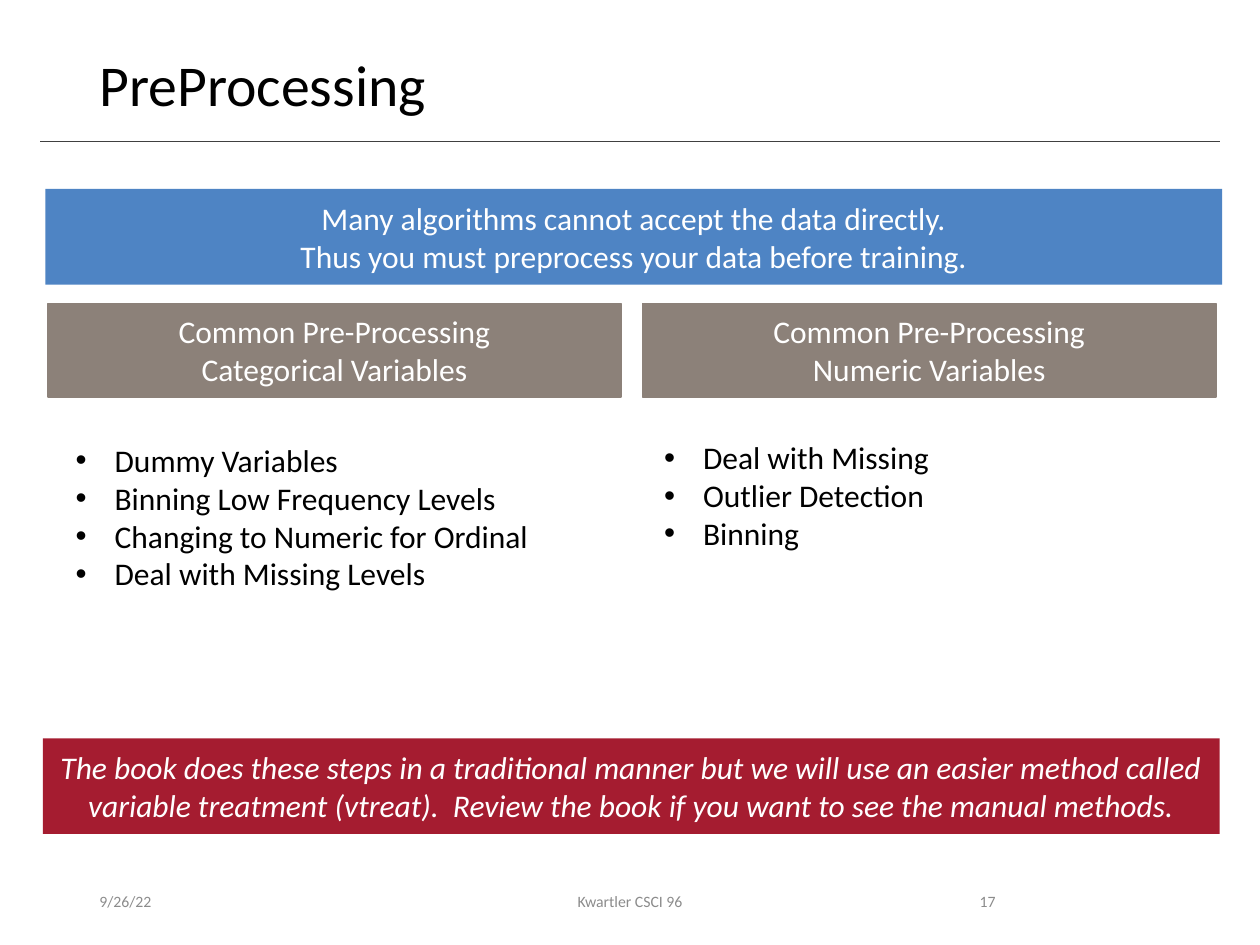
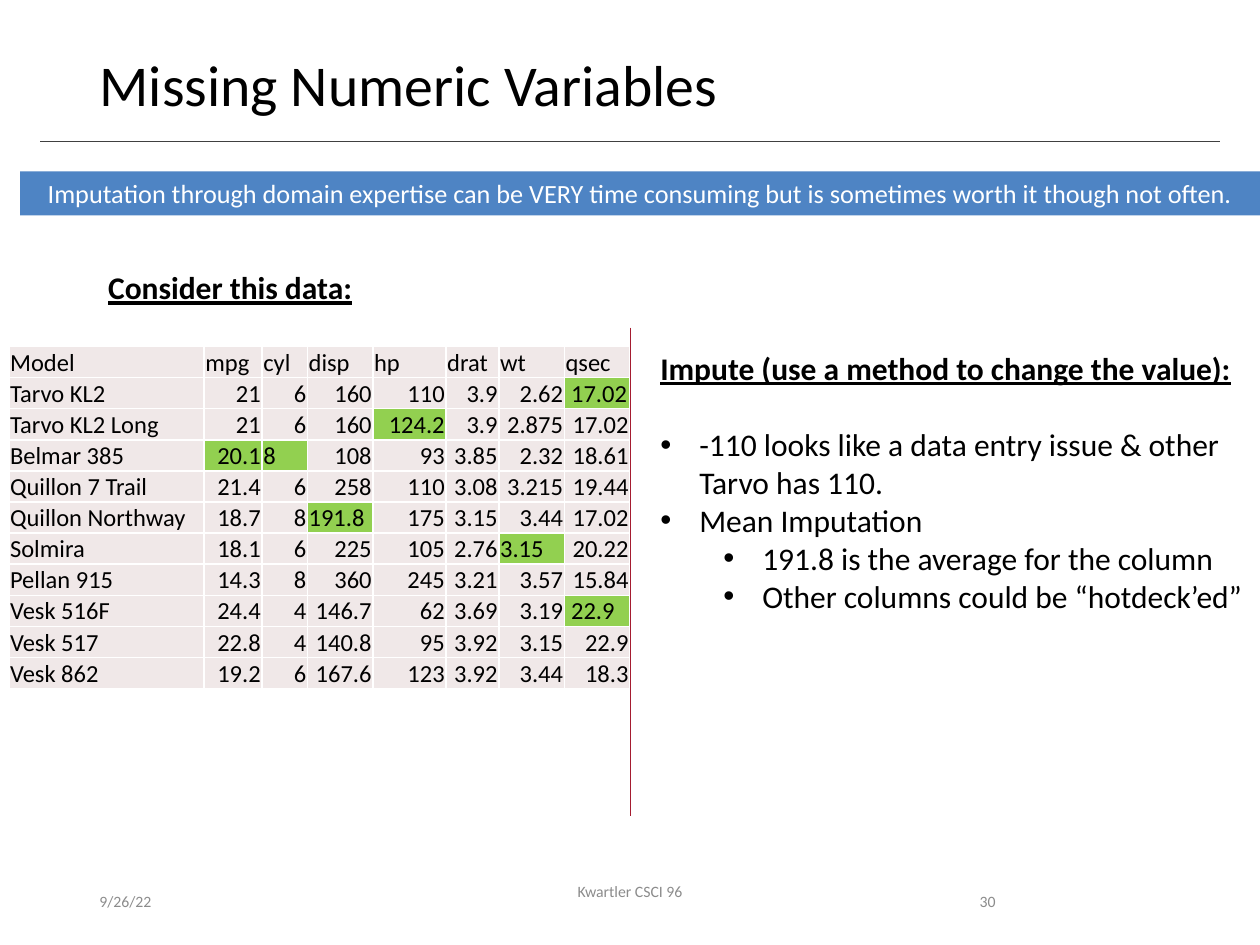
from typing import NamedTuple

from lxml import etree
from pptx import Presentation
from pptx.dml.color import RGBColor
from pptx.enum.shapes import MSO_CONNECTOR, MSO_SHAPE
from pptx.enum.text import MSO_ANCHOR, MSO_AUTO_SIZE, PP_ALIGN
from pptx.oxml.ns import qn
from pptx.util import Inches, Pt

LEFT, MID, RIGHT = PP_ALIGN.LEFT, PP_ALIGN.CENTER, PP_ALIGN.RIGHT
TOP, CENTER, BASE = MSO_ANCHOR.TOP, MSO_ANCHOR.MIDDLE, MSO_ANCHOR.BOTTOM
RECT, LINE = MSO_SHAPE.RECTANGLE, MSO_CONNECTOR.STRAIGHT
FIXED = MSO_AUTO_SIZE.NONE

BLACK = RGBColor(0x00, 0x00, 0x00)
WHITE = RGBColor(0xFF, 0xFF, 0xFF)
RULE = RGBColor(0x40, 0x40, 0x40)
GREY = RGBColor(0x8C, 0x8C, 0x8C)
TAUPE = RGBColor(0x8C, 0x81, 0x79)
BLUE = RGBColor(0x4E, 0x84, 0xC4)
RED = RGBColor(0xA5, 0x1C, 0x30)
GREEN = RGBColor(0x92, 0xD0, 0x50)
PINK = RGBColor(0xF0, 0xE8, 0xE8)

FONT = "Calibri"
WIDE, TALL = Inches(10), Inches(7.5)
COL, ROW = WIDE // 100, TALL // 75  # grid of 100 columns by 75 rows
HANG = Inches(0.31)


class Box(NamedTuple):
    """A place on the grid: left, top, width, height."""
    x: float
    y: float
    w: float
    h: float

    def emu(self) -> tuple[int, ...]:
        units = (COL, ROW, COL, ROW)
        return tuple(round(n * unit) for n, unit in zip(self, units))


class Style(NamedTuple):
    size: float = 18
    color: RGBColor = BLACK
    align: PP_ALIGN = LEFT
    bold: bool = False
    slant: bool = False
    under: bool = False


class Band(NamedTuple):
    box: Box
    text: str
    fill: RGBColor
    size: float = 18
    slant: bool = False
    edge: bool = False


class Foot(NamedTuple):
    box: Box
    text: str
    align: PP_ALIGN
    anchor: MSO_ANCHOR = CENTER


class Item(NamedTuple):
    text: str
    level: int = 0


HEAD = Style(bold=True, under=True)
TITLE = Box(6.9, 4, 86.2, 6.5)

# Slide 1: bands and lists
HALF, GAP = 45.5, 1.7
SIDES = [3.8 + n * (HALF + GAP) for n in range(2)]
KINDS = ["Categorical", "Numeric"]
STEPS = [
    Band(Box(3.6, 15, 93.4, 7.6),
         "Many algorithms cannot accept the data directly.\n"
         "Thus you must preprocess your data before training.", BLUE),
    *(Band(Box(x, 24.1, HALF, 7.4),
           f"Common Pre-Processing\n{kind} Variables", TAUPE, edge=True)
      for x, kind in zip(SIDES, KINDS)),
    Band(Box(3.4, 58.6, 93.4, 7.6),
         "The book does these steps in a traditional manner but we will use "
         "an easier method called variable treatment (vtreat).  Review the "
         "book if you want to see the manual methods.", RED, slant=True),
]
LISTS = [
    (Box(5, 34.5, 38.4, 13.1),
     [Item("Dummy Variables"), Item("Binning Low Frequency Levels"),
      Item("Changing to Numeric for Ordinal"),
      Item("Deal with Missing Levels")]),
    (Box(51.7, 34.3, 38.4, 10.1),
     [Item("Deal with Missing"), Item("Outlier Detection"), Item("Binning")]),
]

# Slide 2: band, table and notes
ADVICE = Band(Box(1.6, 13.6, 98.4, 3.5),
              "Imputation through domain expertise can be VERY time consuming "
              "but is sometimes worth it though not often.", BLUE, 15)
CARS = [row.split(",") for row in (
    "Model,mpg,cyl,disp,hp,drat,wt,qsec",
    "Tarvo KL2,21,6,160,110,3.9,2.62, 17.02",
    "Tarvo KL2 Long,21,6,160,124.2,3.9,2.875,17.02",
    "Belmar 385,20.1,8,108,93,3.85,2.32,18.61",
    "Quillon 7 Trail,21.4,6,258,110,3.08,3.215,19.44",
    "Quillon Northway,18.7,8,191.8,175,3.15,3.44,17.02",
    "Solmira,18.1,6,225,105,2.76,3.15,20.22",
    "Pellan 915,14.3,8,360,245,3.21,3.57,15.84",
    "Vesk 516F,24.4,4,146.7,62,3.69,3.19, 22.9",
    "Vesk 517,22.8,4,140.8,95,3.92,3.15,22.9",
    "Vesk 862,19.2,6,167.6,123,3.92,3.44,18.3",
)]
SPANS = [15.5, 4.6, 3.6, 5.2, 5.8, 4.2, 5.2, 5.2]
FIXES = {(1, 7): LEFT, (2, 4): RIGHT, (3, 1): RIGHT, (3, 2): LEFT,
         (5, 3): LEFT, (6, 6): LEFT, (8, 7): LEFT}
NOTES = [
    Item("-110 looks like a data entry issue & other Tarvo has 110."),
    Item("Mean Imputation"),
    Item("191.8 is the average for the column", 1),
    Item("Other columns could be “hotdeck’ed”", 1),
]


def format_par(par, style: Style) -> None:
    par.alignment = style.align
    font = par.font
    font.name, font.size = FONT, Pt(style.size)
    font.color.rgb = style.color
    font.bold, font.italic = style.bold, style.slant
    font.underline = style.under


def write(frame, text: str, style: Style, anchor=TOP, wrap=True) -> None:
    frame.text = text
    frame.word_wrap, frame.auto_size = wrap, FIXED
    frame.vertical_anchor = anchor
    for par in frame.paragraphs:
        format_par(par, style)


def place(shape, box: Box) -> None:
    shape.left, shape.top, shape.width, shape.height = box.emu()


def add_text(slide, box: Box, text: str, style: Style,
             anchor=TOP, wrap=True) -> None:
    shape = slide.shapes.add_textbox(*box.emu())
    write(shape.text_frame, text, style, anchor, wrap)


def add_rule(slide, box: Box, color: RGBColor) -> None:
    x, y, w, h = box.emu()
    rule = slide.shapes.add_connector(LINE, x, y, x + w, y + h)
    rule.line.color.rgb, rule.line.width = color, Pt(0.5)
    etree.SubElement(rule._element.spPr, qn("a:effectLst"))


def add_band(slide, band: Band) -> None:
    shape = slide.shapes.add_shape(RECT, *band.box.emu())
    shape.shadow.inherit = False
    shape.fill.solid()
    shape.fill.fore_color.rgb = band.fill
    if band.edge:
        shape.line.color.rgb, shape.line.width = band.fill, Pt(1)
    else:
        shape.line.fill.background()
    style = Style(band.size, WHITE, MID, slant=band.slant)
    write(shape.text_frame, band.text, style, CENTER)


def set_bullet(par, level: int | None) -> None:
    """Hang a dot at the given level, or take it away for None."""
    props = par._p.get_or_add_pPr()
    bare = level is None
    props.set("marL", "0" if bare else str(HANG + level * Inches(0.5)))
    props.set("indent", "0" if bare else str(-HANG))
    if bare:
        etree.SubElement(props, qn("a:buNone"))
    else:
        etree.SubElement(props, qn("a:buFont"), typeface="Arial")
        etree.SubElement(props, qn("a:buChar"), char="•")


def fill_list(body, box: Box, items: list[Item], head: str = "") -> None:
    place(body, box)
    texts = ([head] if head else []) + [item.text for item in items]
    write(body.text_frame, "\n".join(texts), Style())
    pars = list(body.text_frame.paragraphs)
    for par in pars:
        par.space_before = Pt(0)
    if head:
        first = pars.pop(0)
        format_par(first, HEAD)
        first.space_after = Pt(22)
        set_bullet(first, None)
    for par, item in zip(pars, items):
        par.level = item.level
        set_bullet(par, item.level)


def set_edges(cell) -> None:
    props = cell._tc.get_or_add_tcPr()
    for n, side in enumerate(("lnL", "lnR", "lnT", "lnB")):
        edge = etree.Element(qn(f"a:{side}"), w=str(Pt(1)))
        fill = etree.SubElement(edge, qn("a:solidFill"))
        etree.SubElement(fill, qn("a:srgbClr"), val=str(WHITE))
        props.insert(n, edge)


def add_grid(slide, x: float, y: float) -> None:
    box = Box(x, y, sum(SPANS), 2.1 * len(CARS))
    table = slide.shapes.add_table(len(CARS), len(SPANS), *box.emu()).table
    table.first_row = table.horz_banding = False
    for col, span in zip(table.columns, SPANS):
        col.width = round(span * COL)
    for r, row in enumerate(CARS):
        for c, text in enumerate(row):
            cell = table.cell(r, c)
            cell.margin_left = cell.margin_right = Inches(0.01)
            cell.margin_top, cell.margin_bottom = Inches(0.01), 0
            cell.vertical_anchor = BASE if c else CENTER
            cell.text = text
            align = FIXES.get((r, c), RIGHT if r and c else LEFT)
            format_par(cell.text_frame.paragraphs[0], Style(14, align=align))
            cell.fill.solid()
            cell.fill.fore_color.rgb = GREEN if (r, c) in FIXES else PINK
            set_edges(cell)


def add_page(deck, layout: int, title: str, number: int, anchor=CENTER):
    """Start a slide with the shared title, rule and footers."""
    slide = deck.slides.add_slide(deck.slide_layouts[layout])
    head = slide.shapes.title
    place(head, TITLE)
    write(head.text_frame, title, Style(33))
    head.text_frame.paragraphs[0].line_spacing = 0.9
    add_rule(slide, Box(3.2, 11.2, 93.6, 0), RULE)
    for foot in (Foot(Box(6.9, 69.5, 22.5, 4), "9/26/22", LEFT),
                 Foot(Box(33.1, 69.5, 33.8, 4), "Kwartler CSCI 96", MID,
                      anchor),
                 Foot(Box(70.6, 69.5, 9.4, 4), str(number), RIGHT)):
        style = Style(9, GREY, foot.align)
        add_text(slide, foot.box, foot.text, style, foot.anchor)
    return slide


def main() -> None:
    deck = Presentation()
    deck.slide_width, deck.slide_height = WIDE, TALL

    # Preprocessing
    slide = add_page(deck, 3, "PreProcessing", 17)
    for band in STEPS:
        add_band(slide, band)
    for n, (box, items) in enumerate(LISTS, 1):
        fill_list(slide.placeholders[n], box, items)

    # Missing values
    slide = add_page(deck, 1, "Missing Numeric Variables", 30, TOP)
    add_band(slide, ADVICE)
    add_text(slide, Box(7.6, 20.8, 21.5, 4), "Consider this data:", HEAD,
             wrap=False)
    add_grid(slide, 0.7, 27.5)
    add_rule(slide, Box(50, 26, 0, 38.8), RED)
    fill_list(slide.placeholders[1], Box(51.4, 27.2, 48.6, 22.2), NOTES,
              "Impute (use a method to change the value):")

    deck.save("out.pptx")


if __name__ == "__main__":
    main()
